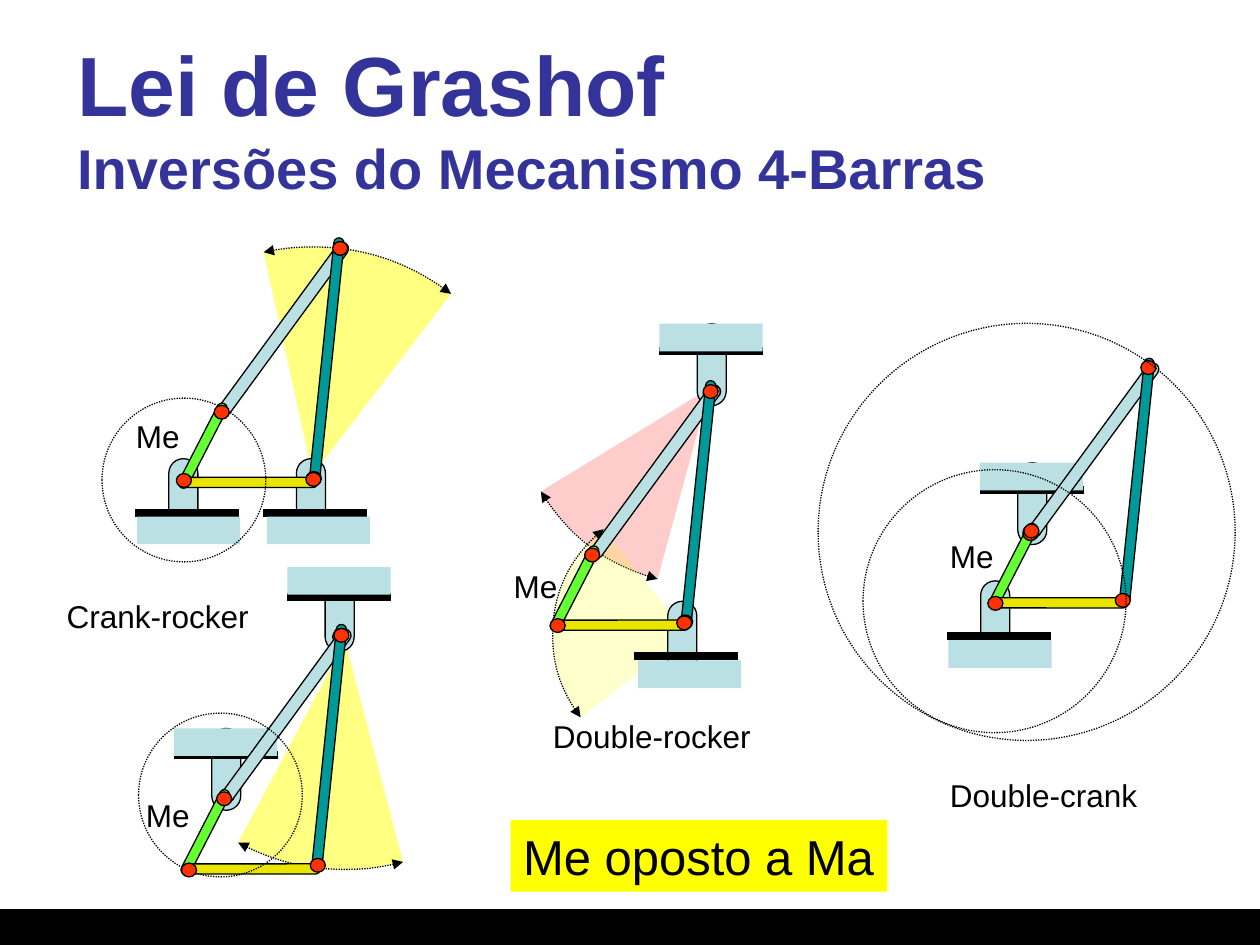
import copy
import math
from dataclasses import dataclass
from itertools import pairwise

from lxml import etree
from pptx import Presentation
from pptx import util as u
from pptx.dml.color import RGBColor
from pptx.enum import dml, shapes, text
from pptx.oxml.ns import qn


@dataclass(frozen=True)
class Theme:
    font: str = "Arial"
    title: str = "333399"
    ink: str = "000000"
    ground: str = "BBE0E3"
    crank: str = "66FF33"
    base: str = "E9E400"
    rocker: str = "009999"
    pin: str = "FF3300"
    highlight: str = "FFFF00"
    red: str = "FF0000"
    title_size: int = 48
    subtitle_size: int = 32
    note_size: int = 28
    label_size: int = 18
    thin: float = 0.75
    thick: float = 4.5


@dataclass(frozen=True)
class Mechanism:
    coupler: tuple        # left, top
    supports: tuple       # post left, post top, line left, line top, block left, block top
    pins: tuple           # left, top
    labels: tuple         # words, left, top, width
    fans: tuple = ()      # centre x, y, radius, arc angles in degrees, colour, opacity
    back_pins: tuple = ()
    inner_orbits: tuple = ()  # left, top, diameter; under the pins
    outer_orbits: tuple = ()  # the same, over everything


THEME = Theme()
KIND = shapes.MSO_SHAPE

# Offset from the coupler, width, height, rotation, colour
BARS = [
    (0, 0, 7.2, 121, 216.2, THEME.ground),
    (-45.4, 100.1, 5.8, 54, 207.2, THEME.crank),
    (-18.8, 108.8, 5.8, 78.5, 270, THEME.base),
    (25.4, 8, 5.8, 141.8, 5.9, THEME.rocker),
]

MECHANISMS = [
    Mechanism(
        coupler=(159.8, 348.5),
        fans=((197.3, 366.5, 130.3, (75.3, 90, 118), THEME.highlight, 49),),
        supports=((185.8, 325.4, 164.2, 341.3, 164.2, 324),
                  (121, 416.2, 99.4, 431.3, 99.4, 416.2)),
        back_pins=((190.1, 360), (190.8, 358.6), (125.3, 450.7)),
        inner_orbits=((79.2, 407.5, 93.6),),
        pins=((123.8, 452.5), (190.8, 359.1), (103.7, 493.2), (177.3, 490.5)),
        labels=(("Me", 76.3, 451.4, 39.6),),
    ),
    Mechanism(
        coupler=(158.4, 127.6),
        fans=((178.6, 271.4, 130.3, (-102.4, -90, -52.6), THEME.highlight, 49),),
        supports=((96.5, 262.1, 77.3, 293, 78.3, 295.2),
                  (169.4, 262.1, 150.3, 293, 152.6, 295.2)),
        inner_orbits=((58.3, 227.5, 93.6),),
        pins=((100.8, 270.6), (175, 269.4), (174.8, 270), (122.4, 231.6), (190.1, 138)),
        labels=(("Me", 70.6, 234.7, 39.6), ("Crank-rocker", 31, 337.9, 118.8)),
    ),
    Mechanism(
        coupler=(370.8, 209.2),
        fans=((405.4, 221.8, 113, (105.2, 148.5), THEME.red, 20),
              (393.1, 362.9, 77.3, (142.5, 180, 231.5), THEME.highlight, 20)),
        supports=((398.4, 185, 376.8, 200.4, 376.8, 185),
                  (381.6, 343.6, 362.3, 375.1, 364.6, 377.4)),
        back_pins=((401.8, 221), (403.2, 219.8)),
        pins=((387.2, 351.4), (386.7, 352), (334.1, 313.2), (401.8, 219.8), (314.4, 353.5)),
        labels=(("Me", 286.4, 320.4, 39.6), ("Double-rocker", 308.9, 406.1, 127.4)),
    ),
    Mechanism(
        coupler=(621.4, 196.4),
        supports=((560.4, 331.9, 541.2, 363.4, 541.9, 365.8),
                  (581.6, 264.4, 560, 280, 560, 264.4)),
        back_pins=((586.1, 298.8), (584.6, 300.2), (586.1, 299.5)),
        pins=((637.3, 339.1), (584.6, 301), (585.1, 299.5), (564.5, 340.8), (651.9, 206.1)),
        labels=(("Me", 535.7, 303.6, 39.6), ("Double-crank", 535.7, 439.9, 121.7)),
        outer_orbits=((467.5, 184.8, 238.3), (493.2, 268.4, 150.3)),
    ),
]


def rgb(color):
    return RGBColor.from_string(color)


def points(*values):
    return [u.Pt(value) for value in values]


def assign(target, **formats):
    for name, value in formats.items():
        setattr(target, name, value)


def paint(shape, fill=None, line=None, dotted=False):
    shape.shadow.inherit = False
    for part, color in ((shape.fill, fill), (shape.line.fill, line)):
        if color is None:
            part.background()
        else:
            part.solid()
            part.fore_color.rgb = rgb(color)
    if line:
        shape.line.width = u.Pt(THEME.thin)
    if dotted:
        shape.line.dash_style = dml.MSO_LINE.ROUND_DOT


def add_solid(page, kind, frame, **look):
    shape = page.shapes.add_shape(kind, *points(*frame))
    paint(shape, **look)
    return shape


def add_bar(page, frame, color, rotation=0):
    bar = add_solid(page, KIND.ROUNDED_RECTANGLE, frame, fill=color, line=THEME.ink)
    bar.adjustments[0] = 0.5
    bar.rotation = rotation


def add_pin(page, left, top):
    add_solid(page, KIND.OVAL, (left, top, 8.6, 7.9), fill=THEME.pin, line=THEME.ink)


def add_orbit(page, left, top, size):
    add_solid(page, KIND.OVAL, (left, top, size, size), line=THEME.ink, dotted=True)


def add_support(page, left, top, line_left, line_top, block_left, block_top):
    """Fixed pivot: a post, a thick ground line and the ground block."""
    add_bar(page, (left, top, 16.6, 46.8), THEME.ground)
    ground = page.shapes.add_connector(
        shapes.MSO_CONNECTOR.STRAIGHT,
        *points(line_left, line_top, line_left + 59.2, line_top))
    ground.line.width = u.Pt(THEME.thick)
    ground.line.color.rgb = rgb(THEME.ink)
    etree.SubElement(ground._element.spPr, qn("a:effectLst"))
    add_solid(page, KIND.RECTANGLE, (block_left, block_top, 59, 15.8), fill=THEME.ground)


def bend(side, shape, centre, radius, start, end):
    """Turn a straight path side into a circular curve between two angles."""
    reach = 4 / 3 * math.tan((end - start) / 4)
    corners = []
    for angle, pull in ((start, reach), (end, -reach), (end, 0)):
        corners.append((
            centre[0] + radius * (math.cos(angle) - pull * math.sin(angle)),
            centre[1] + radius * (math.sin(angle) + pull * math.cos(angle))))
    curve = etree.Element(qn("a:cubicBezTo"))
    for x, y in corners:
        etree.SubElement(curve, qn("a:pt"), x=str(u.Pt(x) - shape.left),
                         y=str(u.Pt(y) - shape.top))
    side.getparent().replace(side, curve)


def add_fan(page, x, y, radius, degrees, color, opacity):
    """Translucent sector whose dotted arc alone is stroked, with two arrowheads."""
    angles = [math.radians(degree) for degree in degrees]
    arc = [points(x + radius * math.cos(a), y + radius * math.sin(a)) for a in angles]
    builder = page.shapes.build_freeform(*arc[0])
    builder.add_line_segments(arc[1:] + [points(x, y)], close=True)
    fan = builder.convert_to_shape()
    paint(fan, fill=color, line=THEME.ink, dotted=True)

    properties = fan._element.spPr
    tint = properties.find(qn("a:solidFill"))[0]
    etree.SubElement(tint, qn("a:alpha"), val=str(opacity * 1000))
    for tag in ("a:headEnd", "a:tailEnd"):
        etree.SubElement(properties.find(qn("a:ln")), qn(tag), type="triangle")

    sector = next(properties.iter(qn("a:path")))
    for side, (start, end) in zip(list(sector)[1:], pairwise(angles)):
        bend(side, fan, (x, y), radius, start, end)
    edge = copy.deepcopy(sector)
    for extra in list(edge)[-2:]:
        edge.remove(extra)
    edge.set("fill", "none")
    sector.set("stroke", "0")
    sector.addprevious(edge)


def add_span(para, words, size, color=THEME.ink, bold=False):
    span = para.add_run()
    span.text = words
    assign(span.font, name=THEME.font, size=u.Pt(size), bold=bold)
    span.font.color.rgb = rgb(color)


def add_label(page, words, left, top, width, height=28.8, size=THEME.label_size, fill=None):
    box = page.shapes.add_textbox(*points(left, top, width, height))
    assign(box.text_frame, word_wrap=False, auto_size=text.MSO_AUTO_SIZE.SHAPE_TO_FIT_TEXT)
    if fill:
        paint(box, fill=fill)
    add_span(box.text_frame.paragraphs[0], words, size)


def add_title(page):
    box = page.shapes.add_textbox(*points(37, 21.6, 663, 90))
    assign(box.text_frame, word_wrap=True, vertical_anchor=text.MSO_ANCHOR.MIDDLE)
    para = box.text_frame.paragraphs[0]
    add_span(para, "Lei de Grashof", THEME.title_size, THEME.title, True)
    para.add_line_break()
    add_span(para, "Inversões do Mecanismo 4-Barras", THEME.subtitle_size, THEME.title, True)


def add_mechanism(page, mechanism):
    x, y = mechanism.coupler
    bars = [((x + left, y + top, width, height), color, rotation)
            for left, top, width, height, rotation, color in BARS]
    layers = (
        (add_fan, mechanism.fans), (add_support, mechanism.supports),
        (add_pin, mechanism.back_pins), (add_bar, bars),
        (add_orbit, mechanism.inner_orbits), (add_pin, mechanism.pins),
        (add_label, mechanism.labels), (add_orbit, mechanism.outer_orbits))
    for add, items in layers:
        for item in items:
            add(page, *item)


def main():
    deck = Presentation()
    assign(deck, slide_width=u.Pt(720), slide_height=u.Pt(540))
    page = deck.slides.add_slide(deck.slide_layouts[6])
    add_solid(page, KIND.RECTANGLE, (0, 519.6, 720, 20.4), fill=THEME.ink, line=THEME.ink)
    add_title(page)
    add_label(page, "Me oposto a Ma", 291.8, 468.6, 215.3, 41, THEME.note_size, THEME.highlight)
    for mechanism in MECHANISMS:
        add_mechanism(page, mechanism)
    deck.save("out.pptx")


if __name__ == "__main__":
    main()
